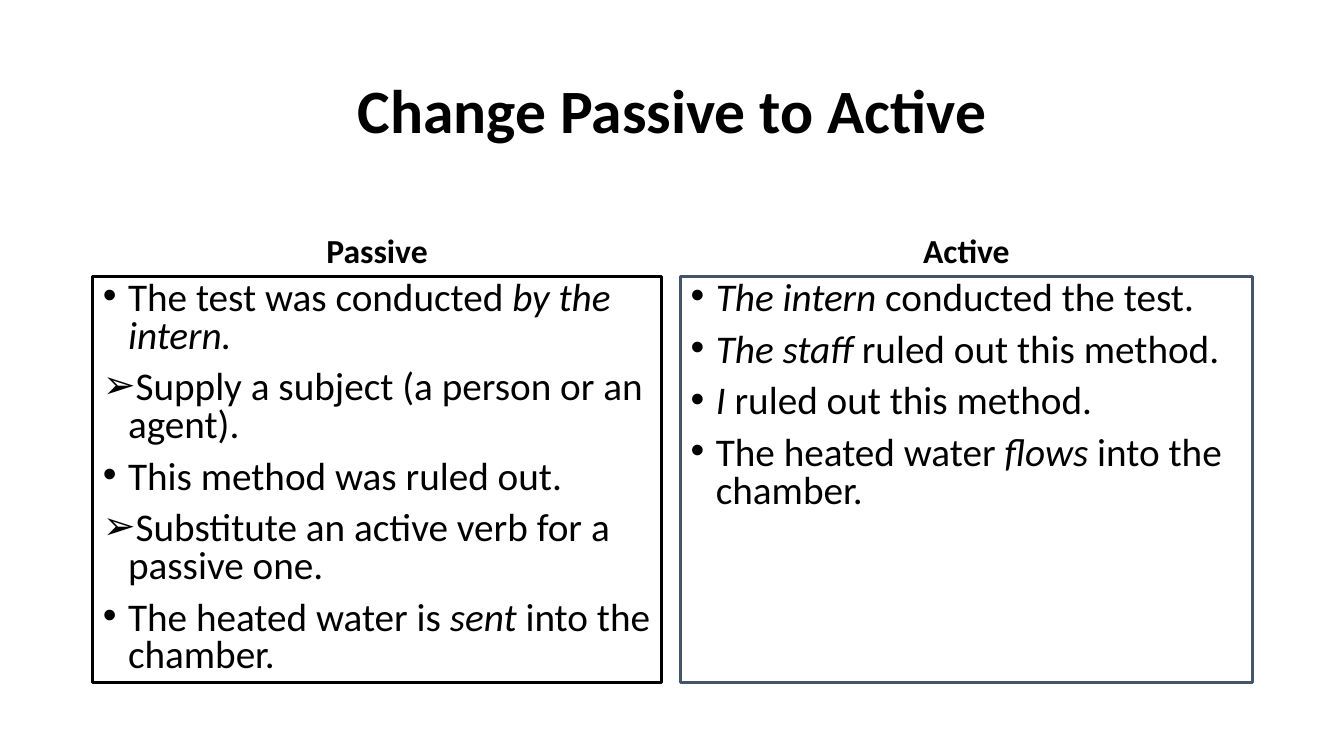
"""Build the slide that turns passive sentences into active ones."""
import dataclasses

import lxml.etree
import pptx
import pptx.dml.color
import pptx.enum.text
import pptx.oxml.ns
import pptx.util

Inches = pptx.util.Inches
Pt = pptx.util.Pt
RGB = pptx.dml.color.RGBColor
Align = pptx.enum.text.PP_ALIGN
Anchor = pptx.enum.text.MSO_ANCHOR


@dataclasses.dataclass(frozen=True)
class Theme:
    font: str = "Calibri"
    ink: RGB = RGB(0, 0, 0)
    paper: RGB = RGB(255, 255, 255)
    slate: RGB = RGB(0x44, 0x54, 0x6A)
    title_size: int = 44
    heading_size: int = 24
    sentence_size: int = 28
    border: float = 2.25


theme = Theme()


def place(holder, left, top, width, height, anchor):
    holder.left, holder.top = Inches(left), Inches(top)
    holder.width, holder.height = Inches(width), Inches(height)
    frame = holder.text_frame
    frame.word_wrap = True
    frame.auto_size = pptx.enum.text.MSO_AUTO_SIZE.NONE
    frame.vertical_anchor = anchor
    return frame


def write(paragraph, runs, size, spacing, align, bold=False):
    paragraph.alignment = align
    paragraph.line_spacing = spacing
    paragraph.space_before = Pt(0)
    for words, italic in runs:
        run = paragraph.add_run()
        run.text = words
        run.font.name = theme.font
        run.font.size = Pt(size)
        run.font.bold = bold
        run.font.italic = italic
        run.font.color.rgb = theme.ink


deck = pptx.Presentation()
deck.slide_width, deck.slide_height = Inches(13.33), Inches(7.5)
slide = deck.slides.add_slide(deck.slide_layouts.get_by_name("Comparison"))
title, passive_heading, passive_list, active_heading, active_list = slide.placeholders

title_frame = place(title, 0.92, 0.4, 11.5, 1.45, Anchor.MIDDLE)
write(title_frame.paragraphs[0], [("Change Passive to Active", False)],
      theme.title_size, 0.9, Align.CENTER, bold=True)

passive_sentences = [
    ("•", [("The test was conducted ", False), ("by the intern.", True)]),
    ("➢", [("Supply a subject (a person or an agent).", False)]),
    ("•", [("This method was ruled out.", False)]),
    ("➢", [("Substitute an active verb for a passive one.", False)]),
    ("•", [("The heated water is ", False), ("sent ", True), ("into the chamber.", False)]),
]
active_sentences = [
    ("•", [("The intern ", True), ("conducted the test.", False)]),
    ("•", [("The staff ", True), ("ruled out this method.", False)]),
    ("•", [("I ", True), ("ruled out this method.", False)]),
    ("•", [("The heated water ", False), ("flows ", True), ("into the chamber.", False)]),
]
voices = [
    ("Passive", passive_heading, passive_list, passive_sentences, 0.92, 5.64, theme.ink),
    ("Active", active_heading, active_list, active_sentences, 6.75, 5.67, theme.slate),
]

for voice, heading, sentence_box, sentences, left, width, border_color in voices:
    heading_frame = place(heading, left, 1.84, width, 0.9, Anchor.BOTTOM)
    write(heading_frame.paragraphs[0], [(voice, False)],
          theme.heading_size, 0.9, Align.CENTER, bold=True)

    sentence_frame = place(sentence_box, left, 2.74, width, 4.03, Anchor.TOP)
    sentence_box.line.color.rgb = border_color
    sentence_box.line.width = Pt(theme.border)
    for number, (bullet, runs) in enumerate(sentences):
        sentence = sentence_frame.add_paragraph() if number else sentence_frame.paragraphs[0]
        properties = sentence._p.get_or_add_pPr()
        properties.set("marL", str(Inches(0.25)))
        properties.set("indent", str(-Inches(0.25)))
        for tag, key, value in (("a:buFont", "typeface", "Arial"), ("a:buChar", "char", bullet)):
            lxml.etree.SubElement(properties, pptx.oxml.ns.qn(tag)).set(key, value)
        write(sentence, runs, theme.sentence_size, 0.8, Align.LEFT)
        if number:
            sentence.space_before = Pt(10)

active_list.fill.solid()
active_list.fill.fore_color.rgb = theme.paper

deck.save("out.pptx")
